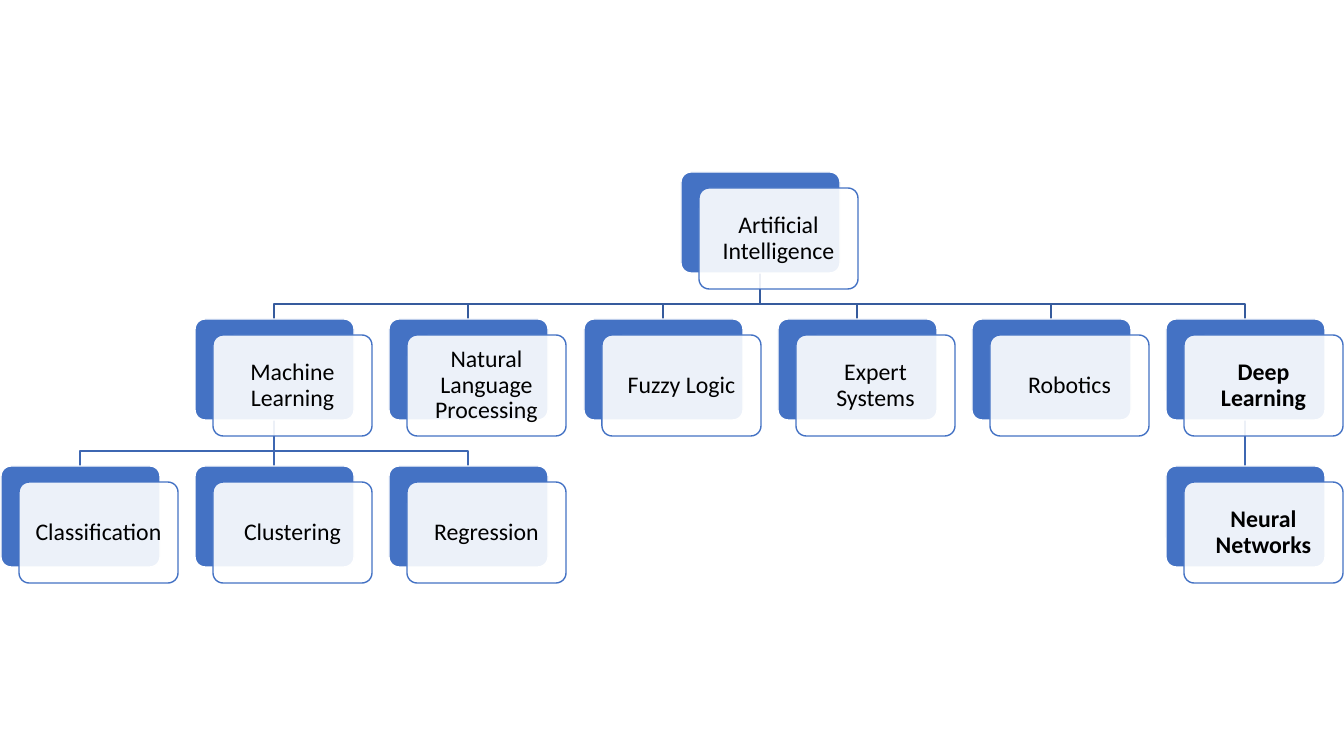
from lxml import etree
from pptx import Presentation
from pptx.dml.color import RGBColor
from pptx.enum.shapes import MSO_CONNECTOR, MSO_SHAPE
from pptx.enum.text import MSO_ANCHOR, PP_ALIGN
from pptx.oxml.ns import qn
from pptx.util import Emu, Pt

SCALE = 914400 / 100.8
CARD_W, CARD_H = 159, 101
LEFT, TOP = 1, 172
COLUMN_STEP, ROW_STEP = 194.2, 147
FRONT_DX, FRONT_DY = 18, 16
BEND = 132


def px(value):
    return Emu(round(value * SCALE))


def color(hex_value):
    return RGBColor.from_string(hex_value)


def place(column, row):
    return round(LEFT + column * COLUMN_STEP), TOP + row * ROW_STEP


class TreeSlide:
    """Holds the chart style and the slide on which cards and links are drawn."""

    font, size = "Calibri", 17
    blue, white, black = "4472C4", "FFFFFF", "000000"
    link_colors = ("365B9D", "3E67B2")

    def __init__(self, prs):
        self.shapes = prs.slides.add_slide(prs.slide_layouts[6]).shapes

    def outline(self, shape, hex_value):
        shape.line.color.rgb = color(hex_value)
        shape.line.width = Pt(1)

    def box(self, x, y, fill, line):
        shape = self.shapes.add_shape(
            MSO_SHAPE.ROUNDED_RECTANGLE, px(x), px(y), px(CARD_W), px(CARD_H))
        shape.adjustments[0] = 0.1
        shape.shadow.inherit = False
        shape.fill.solid()
        shape.fill.fore_color.rgb = color(fill)
        self.outline(shape, line)
        return shape

    def card(self, text, column, row, bold):
        x, y = place(column, row)
        self.box(x, y, self.blue, self.white)
        front = self.box(x + FRONT_DX, y + FRONT_DY, self.white, self.blue)
        rgb = front.fill._xPr.find(qn("a:solidFill")).find(qn("a:srgbClr"))
        etree.SubElement(rgb, qn("a:alpha")).set("val", "90000")
        self.label(front.text_frame, text, bold)

    def label(self, frame, text, bold):
        frame.word_wrap = True
        frame.vertical_anchor = MSO_ANCHOR.MIDDLE
        frame.margin_left = frame.margin_right = px(7)
        frame.margin_top = frame.margin_bottom = px(7)
        paragraph = frame.paragraphs[0]
        paragraph.alignment = PP_ALIGN.CENTER
        paragraph.line_spacing = 0.9
        run = paragraph.add_run()
        run.text = text
        run.font.name, run.font.size, run.font.bold = self.font, Pt(self.size), bold
        run.font.color.rgb = color(self.black)

    def link(self, parent_column, child_column, row):
        x1, y = place(parent_column, row)
        x2, end = place(child_column, row + 1)
        x1, x2, start = x1 + CARD_W // 2, x2 + CARD_W // 2, y + CARD_H
        if x1 == x2:
            line = self.shapes.add_connector(
                MSO_CONNECTOR.STRAIGHT, px(x1), px(start), px(x2), px(end))
            etree.SubElement(line._element.spPr, qn("a:effectLst"))
        else:
            path = self.shapes.build_freeform(x1, start, scale=SCALE)
            path.add_line_segments(
                [(x1, y + BEND), (x2, y + BEND), (x2, end)], close=False)
            line = path.convert_to_shape()
            line.fill.background()
            line.shadow.inherit = False
        self.outline(line, self.link_colors[row])


ROOT = "Artificial Intelligence"
MACHINE, DEEP = "Machine Learning", "Deep Learning"
NODES = {
    ROOT: (3.5, 0, None),
    MACHINE: (1, 1, ROOT),
    "Classification": (0, 2, MACHINE),
    "Clustering": (1, 2, MACHINE),
    "Regression": (2, 2, MACHINE),
    "Natural Language Processing": (2, 1, ROOT),
    "Fuzzy Logic": (3, 1, ROOT),
    "Expert Systems": (4, 1, ROOT),
    "Robotics": (5, 1, ROOT),
    DEEP: (6, 1, ROOT),
    "Neural Networks": (6, 2, DEEP),
}

prs = Presentation()
prs.slide_width, prs.slide_height = px(1344), px(756)
tree = TreeSlide(prs)
for column, row, parent in reversed(NODES.values()):
    if parent:
        tree.link(NODES[parent][0], column, row - 1)
for name, (column, row, parent) in NODES.items():
    tree.card(name, column, row, bold=DEEP in (name, parent))
prs.save("out.pptx")
